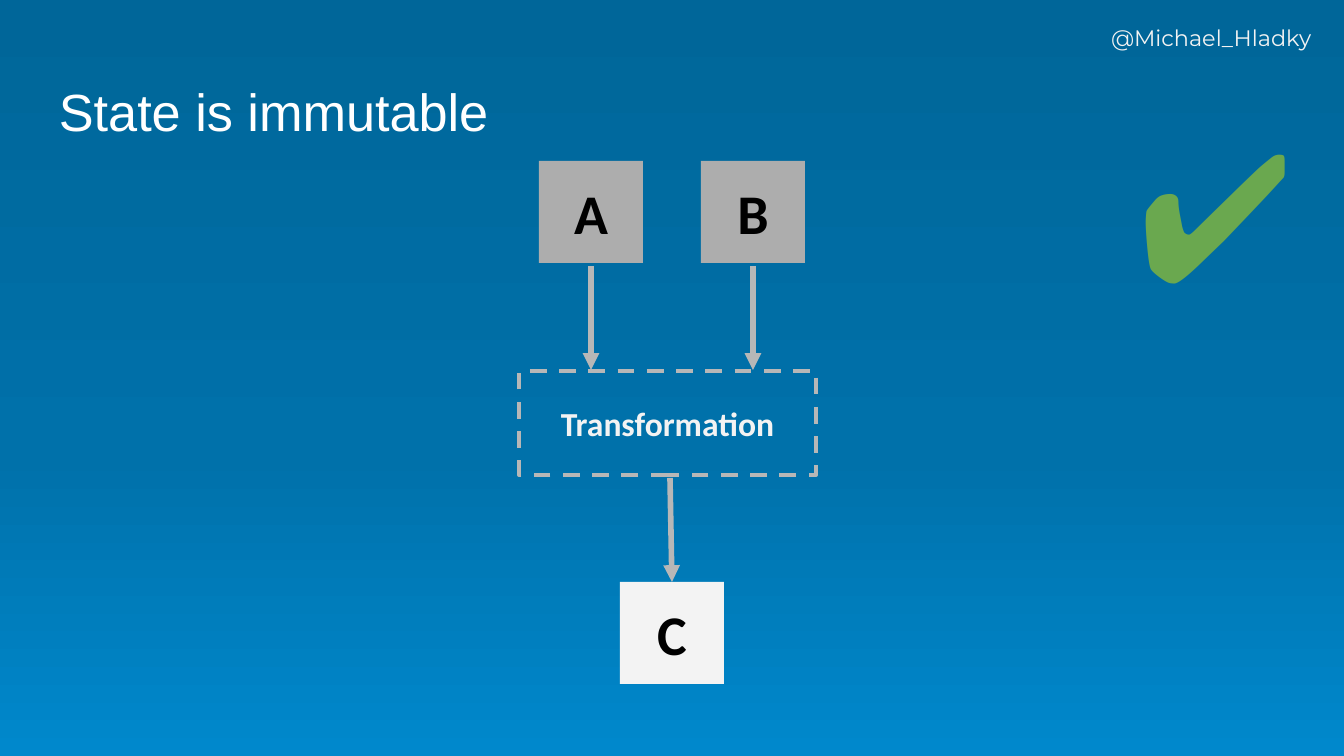
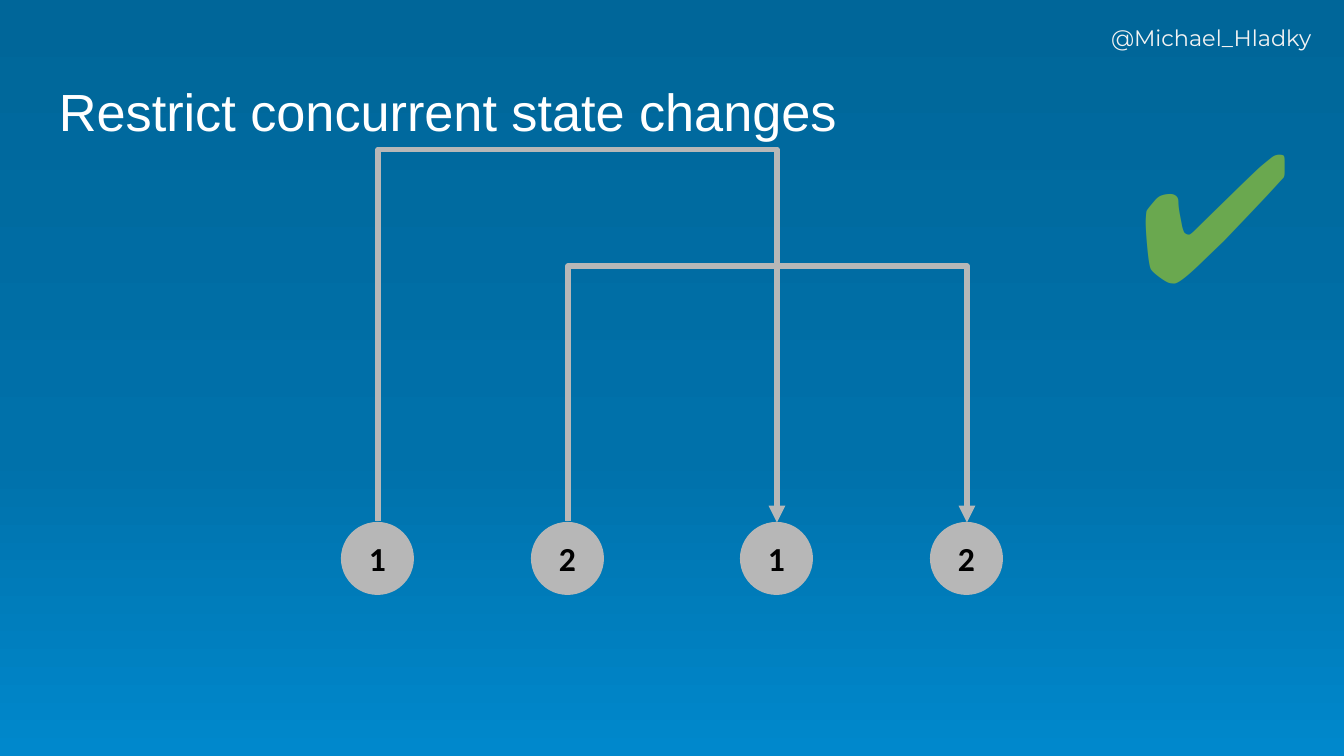
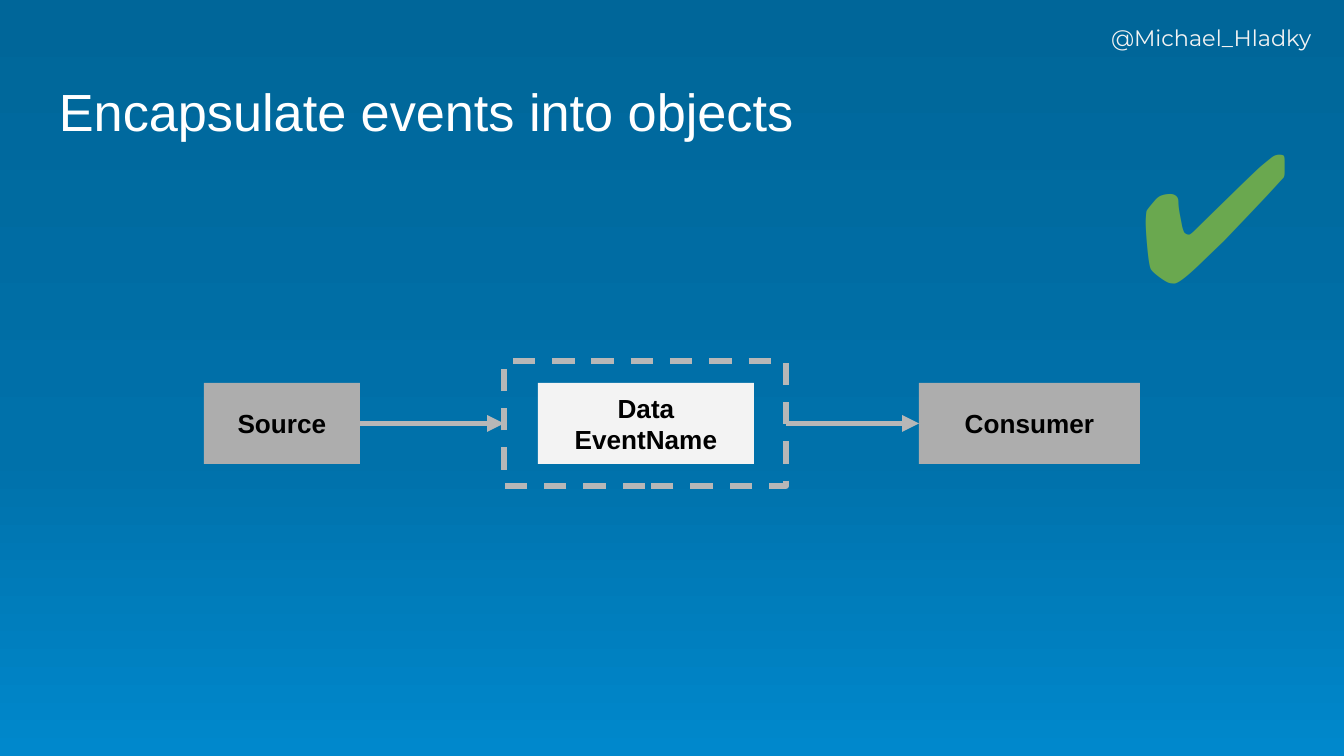
from copy import deepcopy
from pptx import Presentation
from pptx.dml.color import RGBColor
from pptx.enum.dml import MSO_LINE as Dash
from pptx.enum.shapes import MSO_CONNECTOR as Link, MSO_SHAPE as Form
from pptx.enum.text import MSO_ANCHOR as Anchor, PP_ALIGN as Align
from pptx.oxml.ns import qn
from pptx.oxml.xmlchemy import OxmlElement
from pptx.util import Emu, Pt

# Shared style
SCALE = 914400 / 134.4
WIDE, HIGH, INSET = 1344, 756, 13
SKY = ((0, "006699"), (0.6, "0071AA"), (1, "0088CC"))
WHITE, BLACK, PALE = "FFFFFF", "000000", "F3F3F3"
GREY, STEEL, GREEN = "ADADAD", "B7B7B7", "6AA84F"
TOP, LEFT, BOTTOM, RIGHT = range(4)


def px(num):
    return Emu(round(num * SCALE))


def rgb(code):
    return RGBColor.from_string(code)


class Deck:
    def __init__(self):
        self.prs = Presentation()
        self.prs.slide_width, self.prs.slide_height = px(WIDE), px(HIGH)
        self.slide = None
        self.paint()

    def paint(self):
        """Lay the gradient on the master."""
        master = self.prs.slide_master
        fill = master.background.fill
        fill.gradient()
        fill.gradient_angle = 270
        stops = next(master.element.iter(qn("a:gsLst")))
        stops.append(deepcopy(stops[-1]))
        for stop, (place, code) in zip(fill.gradient_stops, SKY):
            stop.position = place
            stop.color.rgb = rgb(code)

    def start(self, title):
        """Open a slide with its title, handle and tick."""
        self.slide = self.prs.slides.add_slide(self.prs.slide_layouts[6])
        self.text("@Michael_Hladky", (1098, 11, 228, 60), 12, "Montserrat", PALE)
        self.text(title, (46, 66, 1253, 85), 28, "Arial", WHITE)
        self.text("✔", (1125, 114, 165, 191), 96, "Calibri", GREEN, Anchor.MIDDLE)

    def label(self, shape, text, size, font, color, anchor, align=None, bold=None):
        frame = shape.text_frame
        frame.word_wrap = True
        frame.vertical_anchor = anchor
        frame.margin_left = frame.margin_right = px(INSET)
        frame.margin_top = frame.margin_bottom = px(INSET)
        para = frame.paragraphs[0]
        para.text = text
        para.alignment = align
        for run in para.runs:
            run.font.size, run.font.name = Pt(size), font
            run.font.bold = bold
            run.font.color.rgb = rgb(color)

    def text(self, text, area, size, font, color, anchor=Anchor.TOP):
        box = self.slide.shapes.add_textbox(*map(px, area))
        self.label(box, text, size, font, color, anchor)

    def node(self, text, area, fill, size, font="Calibri", form=Form.RECTANGLE):
        shape = self.slide.shapes.add_shape(form, *map(px, area))
        shape.shadow.inherit = False
        shape.fill.solid()
        shape.fill.fore_color.rgb = rgb(fill)
        shape.line.fill.background()
        self.label(shape, text, size, font, BLACK, Anchor.MIDDLE, Align.CENTER, True)
        return shape

    def frame(self, area, width, text=""):
        shape = self.slide.shapes.add_shape(Form.RECTANGLE, *map(px, area))
        shape.shadow.inherit = False
        shape.fill.background()
        shape.line.color.rgb = rgb(STEEL)
        shape.line.width = Pt(width)
        shape.line.dash_style = Dash.DASH
        if text:
            self.label(shape, text, 18, "Calibri", PALE, Anchor.MIDDLE, Align.CENTER, True)
        return shape

    def arrow(self, ends=(0, 0, 0, 0), begin=None, end=None, kind=Link.STRAIGHT):
        """Draw an arrow; begin and end are (shape, side) joints."""
        line = self.slide.shapes.add_connector(kind, *map(px, ends))
        if begin:
            line.begin_connect(*begin)
        if end:
            line.end_connect(*end)
        line.line.color.rgb = rgb(STEEL)
        line.line.width = Pt(3)
        props = line.element.spPr
        tail = OxmlElement("a:tailEnd")
        tail.set("type", "triangle")
        props.find(qn("a:ln")).append(tail)
        props.append(OxmlElement("a:effectLst"))
        return line

    def arch(self, first, last, rise):
        """Join two tops by an elbow that climbs by rise."""
        line = self.arrow(begin=(first, TOP), end=(last, TOP), kind=Link.ELBOW)
        span = last.left - first.left
        mid = (first.left + last.left + first.width) // 2
        # A thin box turned upright; the bend is a multiple of its width
        line.left, line.top = mid, first.top - span // 2
        line.width, line.height = px(1), span
        props = line.element.spPr
        form = props.find(qn("a:xfrm"))
        form.set("flipH", "1")
        form.set("flipV", "0")
        form.set("rot", str(270 * 60000))
        bend = OxmlElement("a:gd")
        bend.set("name", "adj1")
        bend.set("fmla", f"val {-rise * 100000}")
        next(props.iter(qn("a:avLst"))).append(bend)


def main():
    deck = Deck()

    # Slide 1: two inputs, one result
    deck.start("State is immutable")
    for name, left in (("A", 539), ("B", 701)):
        deck.node(name, (left, 161, 104, 102), GREY, 30)
        mid = left + 52
        deck.arrow((mid, 266, mid, 370))
    deck.frame((519, 371, 297, 104), 2.25, "Transformation")
    result = deck.node("C", (620, 582, 104, 102), PALE, 30)
    deck.arrow((670, 478, 672, 582), end=(result, TOP))

    # Slide 2: crossing changes
    deck.start("Restrict concurrent state changes")
    for name, left, rise in (("1", 341, 370), ("2", 531, 254)):
        first, last = (
            deck.node(name, (x, 522, 73, 73), STEEL, 18, form=Form.OVAL)
            for x in (left, left + 399)
        )
        deck.arch(first, last, rise)

    # Slide 3: from source to consumer
    deck.start("Encapsulate events into objects")
    source = deck.node("Source", (204, 383, 156, 81), GREY, 14, "Arial")
    event = deck.frame((504, 361, 282, 125), 3)
    deck.node("Data\nEventName", (538, 383, 216, 81), PALE, 14, "Arial")
    target = deck.node("Consumer", (919, 383, 221, 81), GREY, 14, "Arial")
    for begin, end in ((source, event), (event, target)):
        deck.arrow(begin=(begin, RIGHT), end=(end, LEFT))

    deck.prs.save("out.pptx")


if __name__ == "__main__":
    main()
